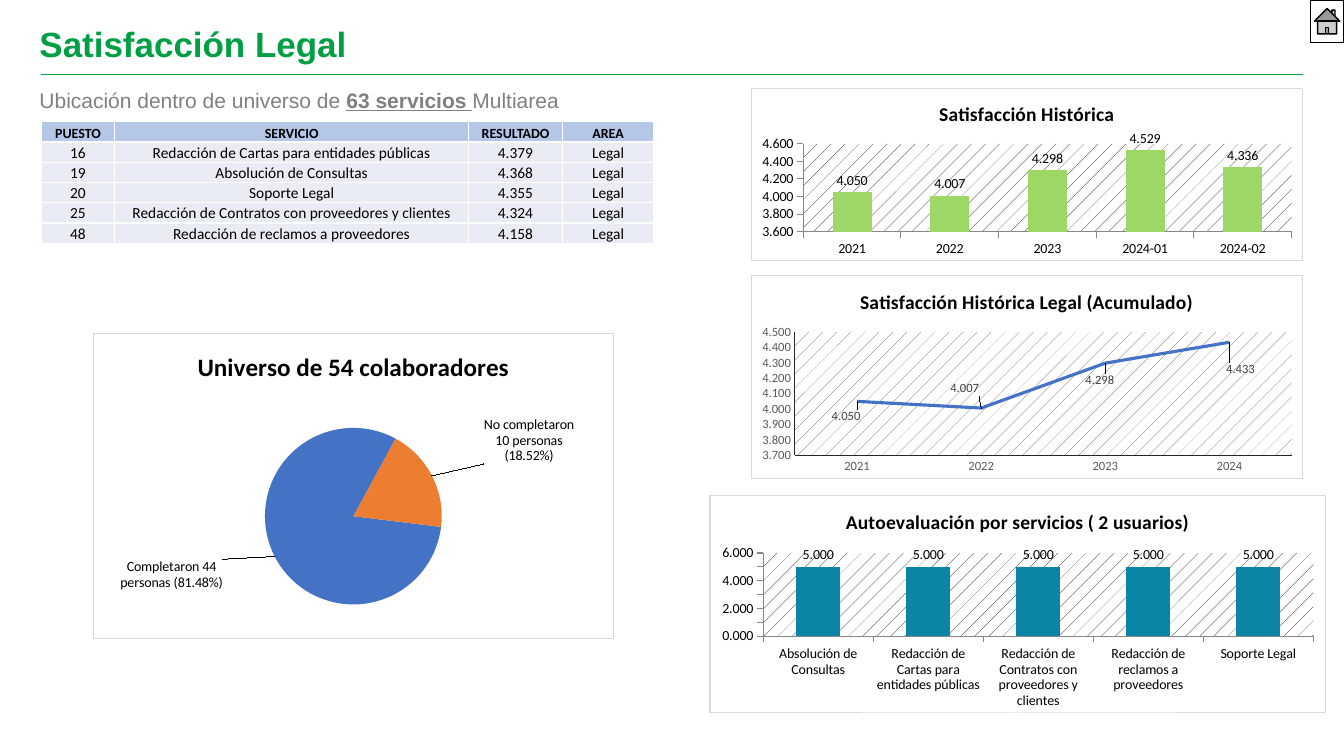
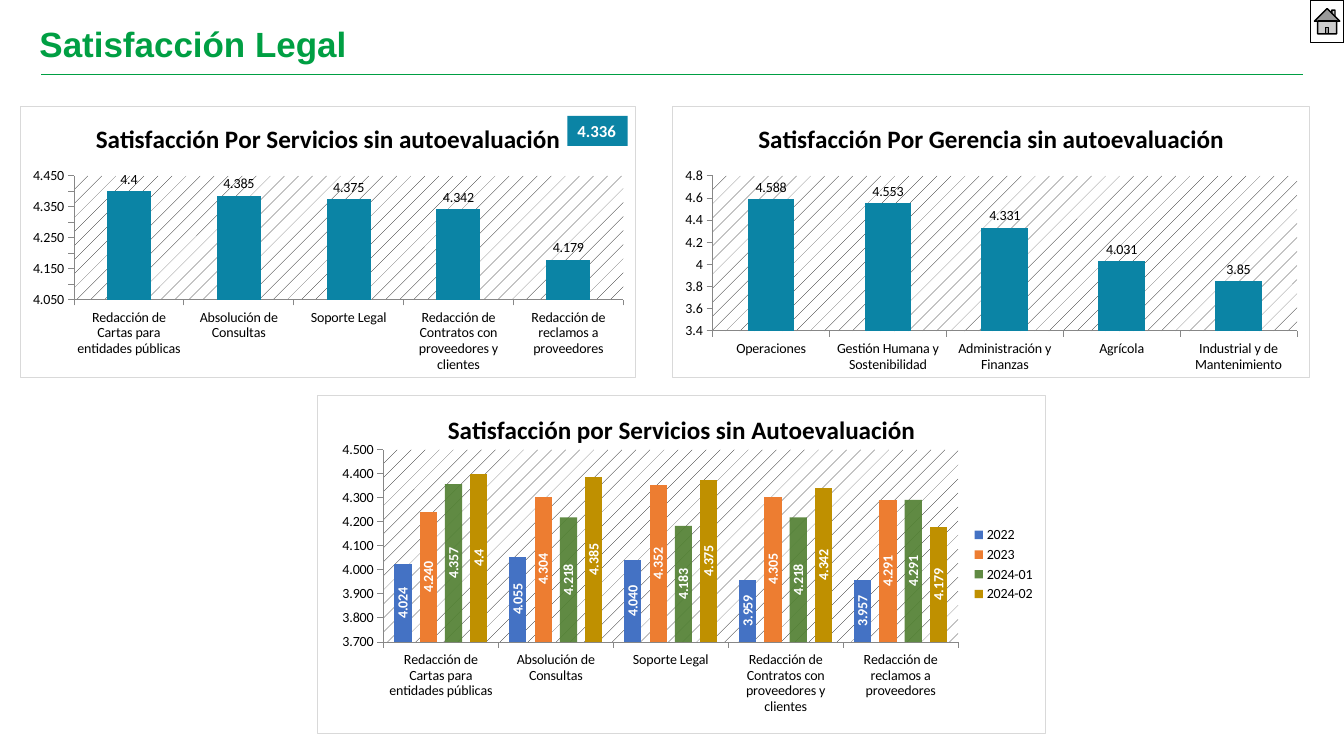
from pptx import Presentation
from pptx.chart.data import CategoryChartData
from pptx.dml.color import RGBColor as RGB
from pptx.enum.chart import XL_CHART_TYPE as CT, XL_LABEL_POSITION as LP
from pptx.enum.chart import XL_LEGEND_POSITION, XL_MARKER_STYLE, XL_TICK_MARK
from pptx.enum.shapes import MSO_CONNECTOR, MSO_SHAPE
from pptx.enum.text import MSO_ANCHOR as ANC, MSO_AUTO_SIZE, PP_ALIGN as AL
from pptx.oxml import parse_xml
from pptx.oxml.ns import nsdecls
from pptx.util import Cm, Pt

COLORS = {
    "green": "009F43", "gray": "808080", "black": "000000", "white": "FFFFFF",
    "head": "B4C7E7", "row": "E9EBF5", "border": "D9D9D9", "lime": "9DD866",
    "teal": "0B84A5", "blue": "4472C4", "orange": "ED7D31", "leaf": "548235",
    "gold": "BF9000", "axis": "262626", "tick": "595959", "label": "404040",
}
C = {name: RGB.from_string(value) for name, value in COLORS.items()}


def write(p, text, size=10, color="black", bold=False, underline=False,
          font="Calibri", align=None, spacing=None):
    r = p.add_run()
    r.text = text
    r.font.size, r.font.bold, r.font.underline = Pt(size), bold, underline
    r.font.name, r.font.color.rgb = font, C[color]
    if align is not None:
        p.alignment = align
    if spacing is not None:
        p.line_spacing = spacing


def set_layout(parent, index, x, y, w=None, h=None):
    for old in parent.xpath("./c:layout"):
        parent.remove(old)
    inner = f'<c:x val="{x}"/><c:y val="{y}"/>'
    if w:
        inner = ('<c:layoutTarget val="inner"/><c:xMode val="edge"/><c:yMode val="edge"/>'
                 + inner + f'<c:w val="{w}"/><c:h val="{h}"/>')
    parent.insert(index, parse_xml(
        f'<c:layout {nsdecls("c")}><c:manualLayout>{inner}</c:manualLayout></c:layout>'))


prs = Presentation()
prs.slide_width, prs.slide_height = Cm(33.87), Cm(19.05)

slides = []
for layout_index in (1, 5):
    s = prs.slides.add_slide(prs.slide_layouts[layout_index])
    slides.append(s)
    line = s.shapes.add_connector(MSO_CONNECTOR.STRAIGHT, Cm(1.04), Cm(1.88), Cm(32.84), Cm(1.88))
    line.line.color.rgb, line.line.width = C["green"], Pt(0.5)
    line.element.spPr.append(parse_xml(f'<a:effectLst {nsdecls("a")}/>'))

    title = s.shapes.title
    title.left, title.top, title.width, title.height = Cm(0.74), Cm(0.61), Cm(29.44), Cm(1.12)
    tf = title.text_frame
    tf.auto_size, tf.vertical_anchor = MSO_AUTO_SIZE.NONE, ANC.MIDDLE
    write(tf.paragraphs[0], "Satisfacción Legal", size=25, color="green", bold=True,
          font="Arial", align=AL.LEFT, spacing=0.9)

    home = s.shapes.add_shape(MSO_SHAPE.ACTION_BUTTON_HOME, Cm(33.02), 0, Cm(0.85), Cm(1.07))
    home.shadow.inherit = False
    home.fill.solid()
    home.fill.fore_color.rgb = C["white"]
    home.line.color.rgb, home.line.width = C["black"], Pt(1)

body = slides[0].placeholders[1]
body.left, body.top, body.width, body.height = Cm(0.74), Cm(2.21), Cm(13.77), Cm(0.69)
tf = body.text_frame
tf.auto_size, tf.vertical_anchor = MSO_AUTO_SIZE.NONE, ANC.MIDDLE
p = tf.paragraphs[0]
for text, strong in (("Ubicación dentro de universo de ", False),
                     ("63 servicios ", True), ("Multiarea", False)):
    write(p, text, size=15, color="gray", bold=strong, underline=strong,
          font="Arial", spacing=0.9)
p.space_before = Pt(0)
pPr = p._p.get_or_add_pPr()
pPr.set("marL", "0")
pPr.set("indent", "0")
pPr.append(parse_xml(f'<a:buNone {nsdecls("a")}/>'))

rows = [
    ("PUESTO", "SERVICIO", "RESULTADO", "AREA"),
    ("16", "Redacción de Cartas para entidades públicas", "4.379", "Legal"),
    ("19", "Absolución de Consultas", "4.368", "Legal"),
    ("20", "Soporte Legal", "4.355", "Legal"),
    ("25", "Redacción de Contratos con proveedores y clientes", "4.324", "Legal"),
    ("48", "Redacción de reclamos a proveedores", "4.158", "Legal"),
]
table = slides[0].shapes.add_table(len(rows), 4, Cm(1.04), Cm(3.05), Cm(15.44), Cm(3.1)).table
table.first_row = table.horz_banding = False
for col, width in zip(table.columns, (1.85, 8.92, 2.36, 2.31)):
    col.width = Cm(width)
for i, row in enumerate(rows):
    head = i == 0
    table.rows[i].height = Cm(0.53 if head else 0.51)
    for j, text in enumerate(row):
        cell = table.cell(i, j)
        cell.margin_left = cell.margin_right = cell.margin_top = Cm(0.03)
        cell.margin_bottom = 0
        cell.vertical_anchor = ANC.BOTTOM if head else ANC.MIDDLE
        cell.fill.solid()
        cell.fill.fore_color.rgb = C["head" if head else "row"]
        write(cell.text_frame.paragraphs[0], text, size=10 if head else 11,
              bold=head, align=AL.CENTER)

CARTAS, CONSULTAS, SOPORTE, CONTRATOS, RECLAMOS = (
    "Redacción de Cartas para entidades públicas", "Absolución de Consultas", "Soporte Legal",
    "Redacción de Contratos con proveedores y clientes", "Redacción de reclamos a proveedores")
SERVICES = [CARTAS, CONSULTAS, SOPORTE, CONTRATOS, RECLAMOS]
RESULTS = (4.4, 4.385, 4.375, 4.342, 4.179)
COLUMN, MIL, GEN = CT.COLUMN_CLUSTERED, "0.000", "General"

specs = [
    dict(key="history", slide=0, kind=COLUMN, at=(18.92, 2.21, 13.92, 4.37),
         title="Satisfacción Histórica", size=14, axis=(3.6, 4.6, 0.2, MIL),
         cats=["2021", "2022", "2023", "2024-01", "2024-02"],
         series=[("Series 1", (4.05, 4.007, 4.298, 4.529, 4.336), "lime", MIL)]),
    dict(key="trend", slide=0, kind=CT.LINE_STACKED, at=(18.92, 6.93, 13.92, 5.13),
         title="Satisfacción Histórica Legal (Acumulado)", size=14, axis=(3.7, 4.5, 0.1, MIL),
         cats=["2021", "2022", "2023", "2024"],
         series=[("Series 1", (4.05, 4.007, 4.298, 4.433), "blue", MIL)]),
    dict(key="self", slide=0, kind=COLUMN, at=(17.88, 12.47, 15.54, 5.51),
         title="Autoevaluación por servicios ( 2 usuarios)", size=14, axis=(0, 6, 1, MIL),
         cats=[CONSULTAS, CARTAS, CONTRATOS, RECLAMOS, SOPORTE],
         series=[("Series 1", (5, 5, 5, 5, 5), "teal", MIL)]),
    dict(key="staff", slide=0, kind=CT.PIE, at=(2.34, 8.38, 13.13, 7.72),
         title="Universo de 54 colaboradores", size=18, axis=None,
         cats=["Completaron 44 personas (81.48%)", "No completaron 10 personas (18.52%)"],
         series=[("Series 1", (81, 19), "blue", GEN)]),
    dict(key="services", slide=1, kind=COLUMN, at=(0.51, 2.67, 15.52, 6.86),
         title="Satisfacción Por Servicios sin autoevaluación", size=18,
         axis=(4.05, 4.45, 0.05, MIL), cats=SERVICES,
         series=[("Series 1", RESULTS, "teal", GEN)]),
    dict(key="areas", slide=1, kind=COLUMN, at=(16.94, 2.67, 16.08, 6.86),
         title="Satisfacción Por Gerencia sin autoevaluación", size=18, axis=(3.4, 4.8, 0.2, GEN),
         cats=["Operaciones", "Gestión Humana y Sostenibilidad", "Administración y Finanzas",
               "Agrícola", "Industrial y de Mantenimiento"],
         series=[("Series 1", (4.588, 4.553, 4.331, 4.031, 3.85), "teal", GEN)]),
    dict(key="periods", slide=1, kind=COLUMN, at=(8, 9.96, 18.36, 8.53),
         title="Satisfacción por Servicios sin Autoevaluación", size=18,
         axis=(3.7, 4.5, 0.1, MIL), cats=SERVICES,
         series=[("2022", (4.024, 4.055, 4.04, 3.959, 3.957), "blue", MIL),
                 ("2023", (4.24, 4.304, 4.352, 4.305, 4.291), "orange", MIL),
                 ("2024-01", (4.357, 4.218, 4.183, 4.218, 4.291), "leaf", MIL),
                 ("2024-02", RESULTS, "gold", GEN)]),
]

charts = {}
for spec_ in specs:
    data = CategoryChartData()
    data.categories = spec_["cats"]
    for name, values, color, fmt in spec_["series"]:
        data.add_series(name, values, number_format=fmt)
    box = [Cm(v) for v in spec_["at"]]
    chart = slides[spec_["slide"]].shapes.add_chart(spec_["kind"], *box, data).chart
    charts[spec_["key"]] = chart
    chart.font.size, chart.font.name, chart.font.color.rgb = Pt(10), "Calibri", C["black"]
    chart.has_legend = False
    chart.has_title = True
    chart.chart_title.include_in_layout = False
    write(chart.chart_title.text_frame.paragraphs[0], spec_["title"], size=spec_["size"], bold=True)
    chart.element.xpath("./c:chart")[0].addnext(parse_xml(
        f'<c:spPr {nsdecls("c", "a")}><a:solidFill><a:srgbClr val="{COLORS["white"]}"/></a:solidFill>'
        f'<a:ln w="{Pt(0.75)}"><a:solidFill><a:srgbClr val="{COLORS["border"]}"/></a:solidFill>'
        '</a:ln></c:spPr>'))

    plot = chart.plots[0]
    plot.vary_by_categories = False
    for ser, (name, values, color, fmt) in zip(plot.series, spec_["series"]):
        labels = ser.data_labels
        labels.show_value = True
        labels.number_format, labels.number_format_is_linked = fmt, False
        if spec_["kind"] == COLUMN:
            ser.format.fill.solid()
            ser.format.fill.fore_color.rgb = C[color]
            labels.position = LP.OUTSIDE_END
    if spec_["kind"] == COLUMN:
        plot.gap_width = 150

    if spec_["axis"]:
        low, high, step, fmt = spec_["axis"]
        va = chart.value_axis
        va.minimum_scale, va.maximum_scale, va.major_unit = low, high, step
        va.has_major_gridlines = False
        va.tick_labels.number_format, va.tick_labels.number_format_is_linked = fmt, False
        ink = COLORS["tick" if spec_["key"] == "trend" else "black"]
        chart.element.xpath(".//c:plotArea")[0].append(parse_xml(
            f'<c:spPr {nsdecls("c", "a")}><a:pattFill prst="pct5">'
            f'<a:fgClr><a:srgbClr val="{ink}"/></a:fgClr>'
            f'<a:bgClr><a:srgbClr val="{COLORS["white"]}"/></a:bgClr></a:pattFill></c:spPr>'))

trend = charts["trend"]
for axis in (trend.category_axis, trend.value_axis):
    axis.major_tick_mark = XL_TICK_MARK.NONE
    axis.format.line.color.rgb, axis.format.line.width = C["axis"], Pt(0.75)
    axis.tick_labels.font.size = Pt(9)
    axis.tick_labels.font.color.rgb = C["tick"]
ser = trend.plots[0].series[0]
ser.smooth = False
ser.marker.style = XL_MARKER_STYLE.NONE
ser.format.line.color.rgb, ser.format.line.width = C["blue"], Pt(2.25)
offsets = [(LP.BELOW, -0.02, 0.02), (LP.ABOVE, -0.03, -0.04),
           (LP.BELOW, -0.01, 0.03), (LP.BELOW, 0.02, 0.08)]
for i, (pos, dx, dy) in enumerate(offsets):
    label = ser.points[i].data_label
    label.font.size, label.font.color.rgb = Pt(9), C["label"]
    label.position = pos
    set_layout(trend.element.xpath(".//c:dLbl")[i], 1, dx, dy)

staff = charts["staff"]
plot_area = staff.element.xpath(".//c:plotArea")[0]
set_layout(plot_area, 0, 0.33, 0.31, 0.34, 0.58)
pie = plot_area.xpath("./c:pieChart")[0]
for old in pie.xpath("./c:firstSliceAng"):
    pie.remove(old)
pie.append(parse_xml(f'<c:firstSliceAng {nsdecls("c")} val="97"/>'))
ser = staff.plots[0].series[0]
ser.data_labels.show_value = False
ser.data_labels.show_category_name = True
for i, (color, dx, dy) in enumerate([("blue", -0.09, 0), ("orange", 0.09, -0.03)]):
    point = ser.points[i]
    point.format.fill.solid()
    point.format.fill.fore_color.rgb = C[color]
    point.data_label.position = LP.OUTSIDE_END
    label = staff.element.xpath(".//c:dLbl")[i]
    set_layout(label, 1, dx, dy)
    label.xpath("./c:showVal")[0].set("val", "0")
    label.xpath("./c:showCatName")[0].set("val", "1")

periods = charts["periods"]
set_layout(periods.element.xpath(".//c:plotArea")[0], 0, 0.09, 0.16, 0.79, 0.57)
periods.has_legend = True
periods.legend.position = XL_LEGEND_POSITION.RIGHT
periods.legend.include_in_layout = False
plot = periods.plots[0]
plot.gap_width, plot.overlap = 127, -47
for ser in plot.series:
    labels = ser.data_labels
    labels.position = LP.CENTER
    labels.font.size, labels.font.bold, labels.font.color.rgb = Pt(10), True, C["white"]
for bodyPr in periods.element.xpath(".//c:ser/c:dLbls/c:txPr/a:bodyPr"):
    bodyPr.set("rot", "-5400000")
    bodyPr.set("vert", "horz")
leaf = periods.element.xpath(f'.//c:ser/c:spPr//a:srgbClr[@val="{COLORS["leaf"]}"]')[0]
leaf.append(parse_xml(f'<a:alpha {nsdecls("a")} val="93000"/>'))

sp = slides[1].shapes.add_shape(MSO_SHAPE.RECTANGLE, Cm(14.3), Cm(2.92), Cm(1.52), Cm(0.76))
sp.shadow.inherit = False
sp.fill.solid()
sp.fill.fore_color.rgb = C["teal"]
sp.line.fill.background()
tf = sp.text_frame
tf.word_wrap, tf.vertical_anchor = False, ANC.MIDDLE
write(tf.paragraphs[0], "4.336", size=12, color="white", bold=True, align=AL.LEFT)

prs.save("out.pptx")
